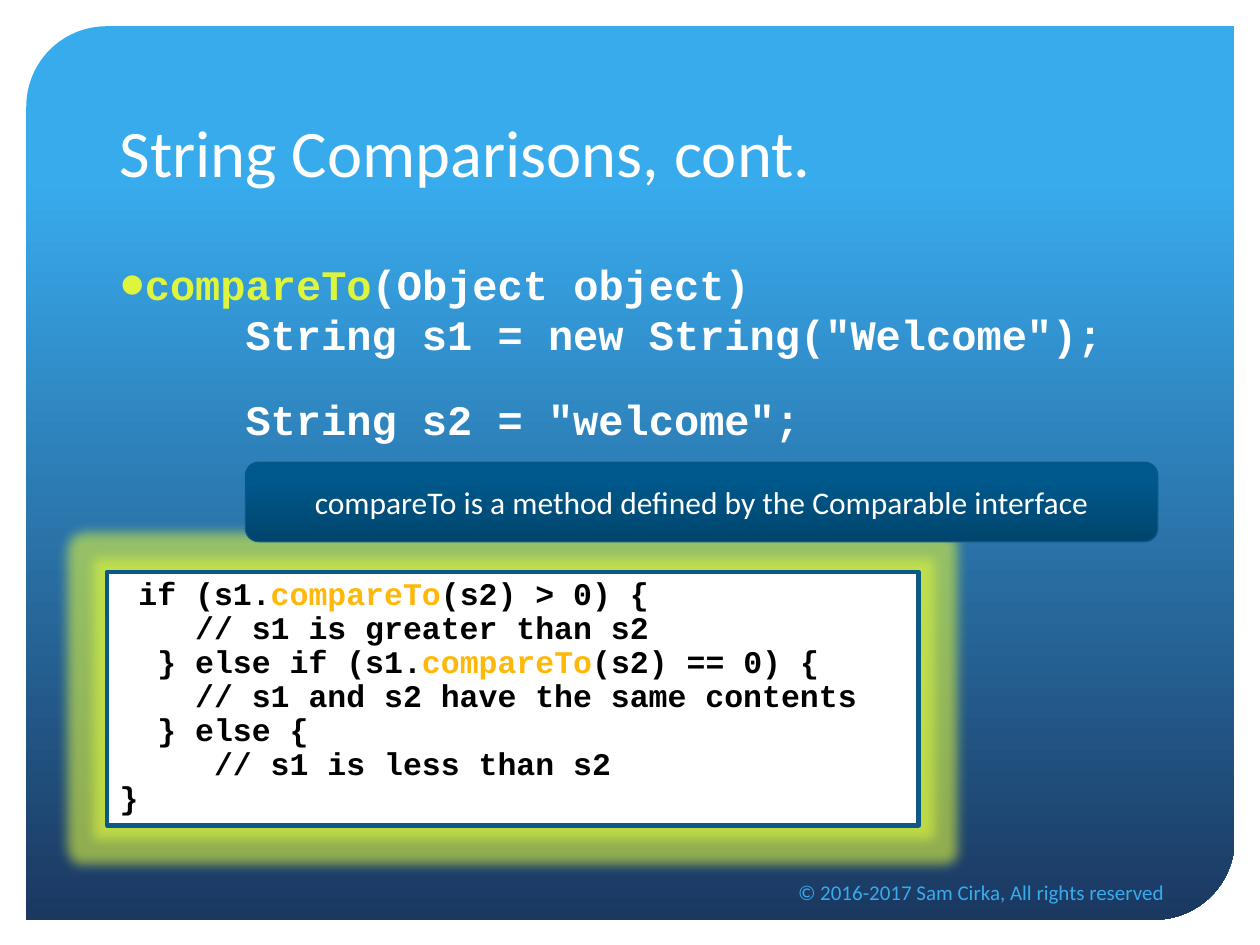
from lxml.etree import SubElement
from pptx import Presentation
from pptx.dml.color import RGBColor
from pptx.enum.shapes import MSO_SHAPE
from pptx.enum.text import MSO_ANCHOR, PP_ALIGN
from pptx.oxml.ns import qn
from pptx.util import Cm, Pt

WHITE, BLACK, SKY, LIME, AMBER = "FFFFFF", "000000", "38ABED", "DDF53D", "FEB80A"
SANS, MONO = "Calibri", "Courier New"
METHOD = "compareTo"

TITLE = "String Comparisons, cont."
CALLOUT = "compareTo is a method defined by the Comparable interface"
COPYRIGHT = "© 2016-2017 Sam Cirka, All rights reserved"
SIGNATURE = "compareTo(Object object)"
DECLARATIONS = [
    ('String s1 = new String("Welcome");', 0),
    ('String s2 = "welcome";', 20),
]
CODE = [
    (1, "if (s1.compareTo(s2) > 0) {"),
    (4, "// s1 is greater than s2"),
    (2, "} else if (s1.compareTo(s2) == 0) {"),
    (4, "// s1 and s2 have the same contents"),
    (2, "} else {"),
    (5, "// s1 is less than s2"),
    (0, "}"),
]
CODE_SIZE = 18
CODE_CHAR = Pt(CODE_SIZE * 0.6)


def rgb(code):
    return RGBColor.from_string(code)


def style(paragraph, font, size, color, bold=False):
    paragraph.font.name = font
    paragraph.font.size = Pt(size)
    paragraph.font.bold = bold
    paragraph.font.color.rgb = rgb(color)


def write(paragraph, text, method_color):
    before, method, after = text.partition(METHOD)
    for part in filter(None, (before, method, after)):
        run = paragraph.add_run()
        run.text = part
        if part == METHOD:
            run.font.color.rgb = rgb(method_color)


def indent(paragraph, left, first=0):
    properties = paragraph._p.get_or_add_pPr()
    properties.set("marL", str(left))
    properties.set("indent", str(first))
    return properties


def paragraphs(frame, count):
    return [frame.paragraphs[0]] + [frame.add_paragraph() for _ in range(count - 1)]


def add_frame(slide, box, anchor=MSO_ANCHOR.TOP):
    frame = slide.shapes.add_textbox(*map(Cm, box)).text_frame
    frame.word_wrap = True
    frame.vertical_anchor = anchor
    return frame


def add_panel(slide, preset, box):
    panel = slide.shapes.add_shape(preset, *map(Cm, box))
    panel.shadow.inherit = False
    panel.text_frame.word_wrap = True
    return panel


def fill_gradient(panel, angle, stops):
    panel.fill.gradient()
    panel.fill.gradient_angle = angle
    for stop, (position, color) in zip(panel.fill.gradient_stops, stops):
        stop.position = position
        stop.color.rgb = rgb(color)


def outline(panel, color, width):
    panel.line.color.rgb = rgb(color)
    panel.line.width = Pt(width)


def add_glow(panel, color, radius, opacity):
    effects = panel._element.spPr.find(qn("a:effectLst"))
    glow = SubElement(effects, qn("a:glow"), rad=str(radius))
    tint = SubElement(glow, qn("a:srgbClr"), val=color)
    SubElement(tint, qn("a:alpha"), val=str(opacity * 1000))


def add_line(slide, box, text, size, color, anchor, align):
    line = add_frame(slide, box, anchor).paragraphs[0]
    line.text = text
    line.alignment = align
    style(line, SANS, size, color)


def add_backdrop(slide):
    backdrop = add_panel(slide, MSO_SHAPE.ROUND_2_DIAG_RECTANGLE, (0.53, 0.53, 24.36, 18.01))
    backdrop.adjustments[0] = 0.09
    fill_gradient(backdrop, 270, [(0.17, SKY), (1, "1B3861")])
    backdrop.line.fill.background()


def add_declarations(slide):
    frame = add_frame(slide, (2.16, 5.08, 21.06, 11.68))
    signature, *declarations = paragraphs(frame, 1 + len(DECLARATIONS))
    write(signature, SIGNATURE, LIME)
    style(signature, MONO, 24, WHITE, True)
    bullet = indent(signature, Cm(0.5), -Cm(0.5))
    color = SubElement(bullet, qn("a:buClr"))
    SubElement(color, qn("a:srgbClr"), val=LIME)
    SubElement(bullet, qn("a:buFont"), typeface=SANS)
    SubElement(bullet, qn("a:buChar"), char="●")
    bullet.append(bullet.find(qn("a:defRPr")))
    for declaration, (text, gap) in zip(declarations, DECLARATIONS):
        declaration.text = text
        declaration.space_before = Pt(gap)
        indent(declaration, Cm(2.54))
        style(declaration, MONO, 24, WHITE, True)


def add_code(slide):
    panel = add_panel(slide, MSO_SHAPE.RECTANGLE, (2.16, 11.53, 16.36, 5.11))
    panel.fill.solid()
    panel.fill.fore_color.rgb = rgb(WHITE)
    outline(panel, "0C5986", 2.5)
    add_glow(panel, LIME, Pt(14), 60)
    panel.text_frame.vertical_anchor = MSO_ANCHOR.TOP
    for line, (depth, text) in zip(paragraphs(panel.text_frame, len(CODE)), CODE):
        write(line, text, AMBER)
        line.alignment = PP_ALIGN.LEFT
        line.line_spacing = 0.9
        indent(line, depth * CODE_CHAR)
        style(line, MONO, CODE_SIZE, BLACK, True)


def add_callout(slide):
    panel = add_panel(slide, MSO_SHAPE.ROUNDED_RECTANGLE, (4.95, 9.32, 18.39, 1.6))
    fill_gradient(panel, 90, [(0, "00456D"), (0.8, "00598D")])
    outline(panel, "095886", 0.75)
    panel.text_frame.vertical_anchor = MSO_ANCHOR.MIDDLE
    note = panel.text_frame.paragraphs[0]
    note.text = CALLOUT
    note.alignment = PP_ALIGN.CENTER
    style(note, SANS, 18, WHITE)


def main():
    deck = Presentation()
    deck.slide_width, deck.slide_height = Cm(25.4), Cm(19.05)
    slide = deck.slides.add_slide(deck.slide_layouts[6])
    add_backdrop(slide)
    add_line(slide, (2.16, 1.07, 21.06, 2.9), TITLE, 38, WHITE, MSO_ANCHOR.BOTTOM, PP_ALIGN.LEFT)
    add_declarations(slide)
    add_code(slide)
    add_callout(slide)
    add_line(slide, (9.17, 17.48, 14.55, 1.02), COPYRIGHT, 12, SKY, MSO_ANCHOR.MIDDLE, PP_ALIGN.RIGHT)
    deck.save("out.pptx")


if __name__ == "__main__":
    main()
